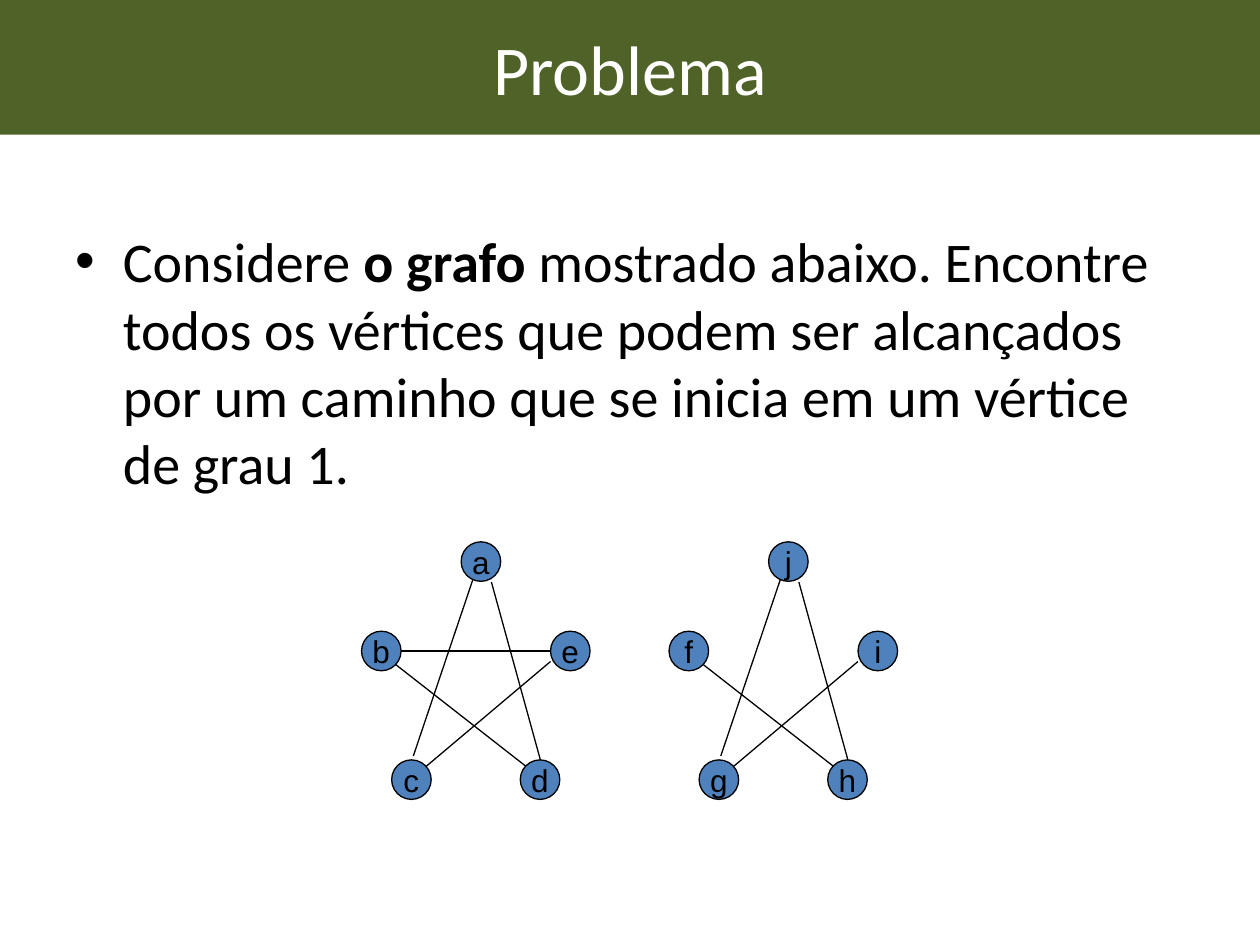
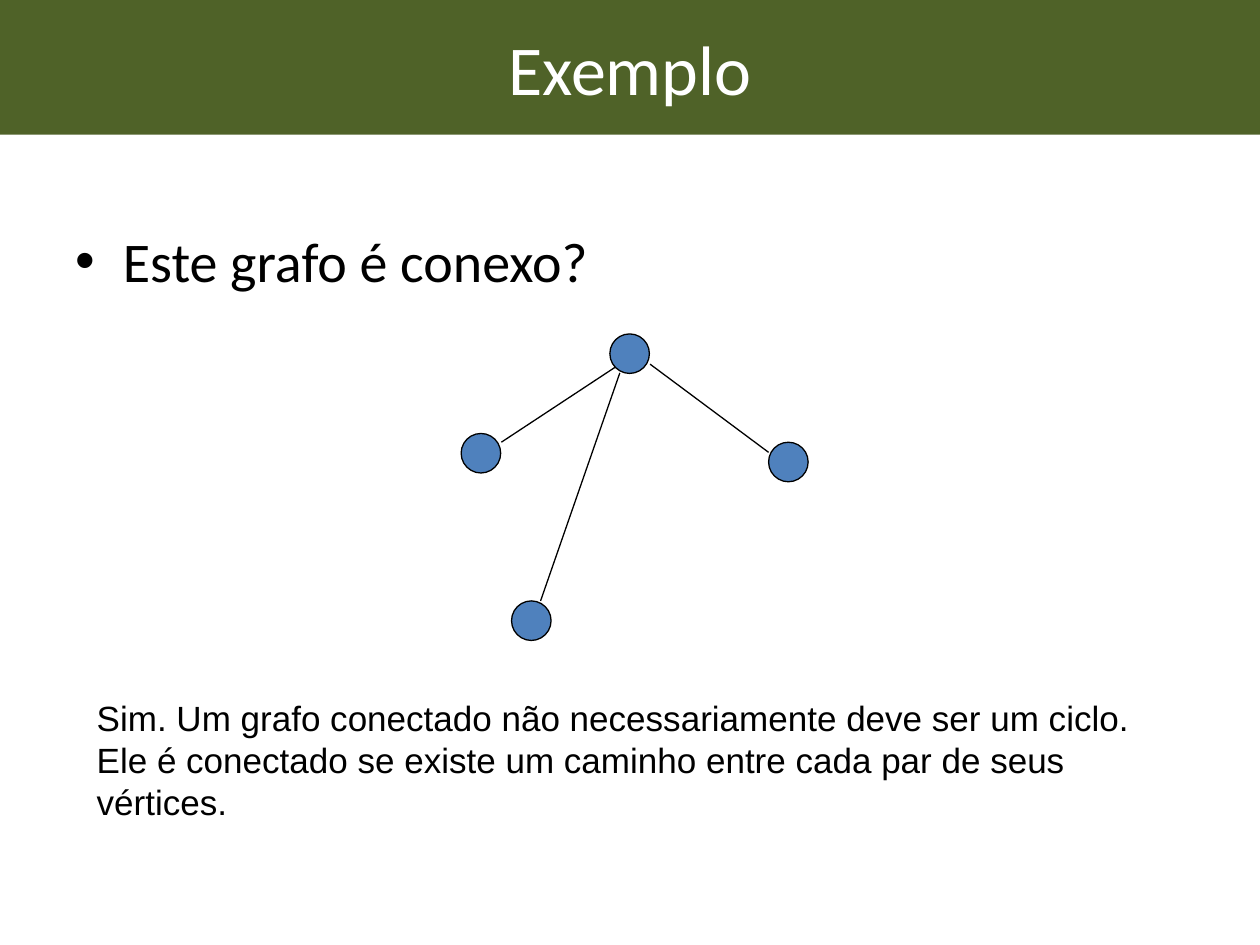
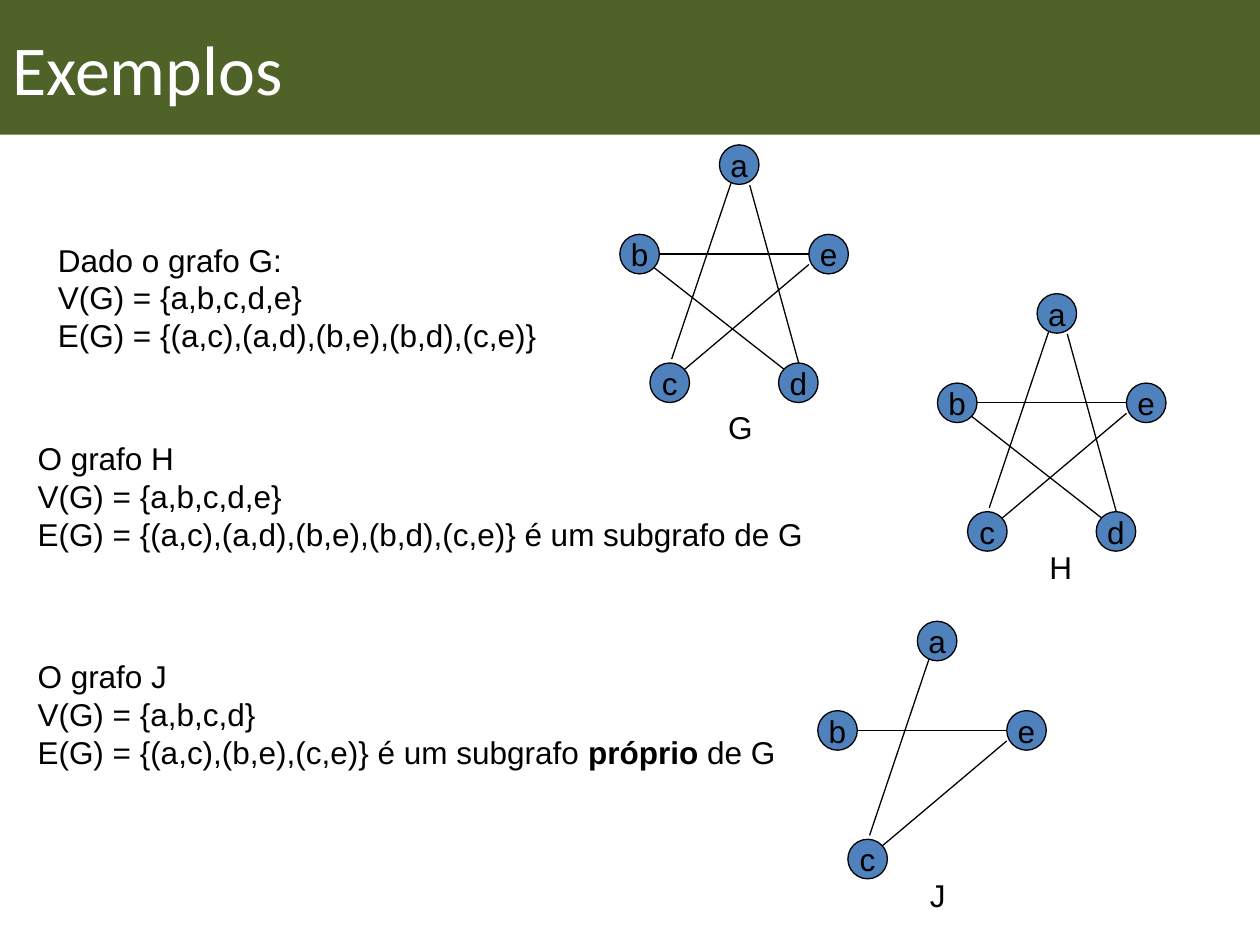
from lxml.etree import SubElement
from pptx import Presentation
from pptx.dml.color import RGBColor
from pptx.enum.shapes import MSO_CONNECTOR, MSO_SHAPE
from pptx.enum.text import MSO_ANCHOR, MSO_AUTO_SIZE, PP_ALIGN
from pptx.oxml.ns import qn
from pptx.util import Pt

# Shared style
BAND, NODE, BLACK, WHITE = "4F6228", "4F81BD", "000000", "FFFFFF"
HEADING_FONT, TEXT_FONT = "Calibri", "Arial"
TITLE_BOX = (0, 0, 720, 77)
BODY_BOX = (36, 126, 648, 356.4)
DIAMETER = 22.6
TITLE_AND_BODY, TITLE_ONLY = 1, 5

# Graph geometry, relative to the left and top of each graph
STAR_NODES = {"a": (56.9, 0), "b": (0, 51.1), "c": (17.2, 124.6),
              "d": (90.7, 124.6), "e": (108, 51.1)}
STAR_EDGES = {
    "ac": (63.6, 21.6, 29.6, 122.4),
    "ad": (74.2, 23, 102.2, 124.6),
    "ce": (34.6, 130.3, 108, 68.4),
    "be": (108, 62.4, 22.8, 62.4),
    "bd": (17.3, 68.4, 96.5, 130.3),
}
TREE_NODES = [(85, 0), (0, 56.9), (28.8, 152.6), (175.7, 61.9)]
TREE_EDGES = [(90.7, 17.3, 23, 61.9), (90.7, 22.3, 45.4, 152.6),
              (108, 17.3, 175.7, 67.7)]

# Content: ** marks bold text; a star lists its edges and, by corner, its labels
FULL_STAR = ("ac", "ad", "ce", "be", "bd")
SLIDES = [
    {
        "title": "Problema",
        "body": "Considere **o grafo** mostrado abaixo. Encontre todos os vértices que "
                "podem ser alcançados por um caminho que se inicia em um vértice de grau 1.",
        "stars": [
            (206.6, 309.6, FULL_STAR, dict(zip("abcde", "abcde"))),
            (382.3, 309.6, ("ac", "ad", "ce", "bd"), dict(zip("abcde", "jfghi"))),
        ],
    },
    {
        "title": "Exemplo",
        "body": "Este grafo é conexo?",
        "tree": (263.5, 190.8),
        "texts": [
            ((48.2, 394.6, 612, 79.2), 20, True,
             ["Sim. Um grafo conectado não necessariamente deve ser um ciclo. Ele é "
              "conectado se existe um caminho entre cada par de seus vértices."]),
        ],
    },
    {
        "title": "Exemplos",
        "title_align": PP_ALIGN.LEFT,
        "stars": [
            (354.2, 82.8, FULL_STAR, dict(zip("abcde", "abcde"))),
            (535.7, 167.8, FULL_STAR, dict(zip("abcde", "abcde"))),
            (467.3, 355, ("ac", "ce", "be"), dict(zip("abce", "abce"))),
        ],
        "texts": [
            ((26, 134, 288, 72), 18, False,
             ["Dado o grafo G:", "V(G) = {a,b,c,d,e}",
              "E(G) = {(a,c),(a,d),(b,e),(b,d),(c,e)}"]),
            ((14.4, 247.5, 453.6, 72), 18, True,
             ["O grafo H", "V(G) = {a,b,c,d,e}",
              "E(G) = {(a,c),(a,d),(b,e),(b,d),(c,e)} é um subgrafo de G"]),
            ((14.4, 372, 453.6, 72), 18, True,
             ["O grafo J", "V(G) = {a,b,c,d}",
              "E(G) = {(a,c),(b,e),(c,e)} é um subgrafo **próprio** de G"]),
            ((409, 229.7, 28, 28.8), 18, False, ["G"]),
            ((592.6, 309.6, 27.4, 28.8), 18, False, ["H"]),
            ((524.2, 496.8, 23, 28.8), 18, False, ["J"]),
        ],
    },
]


def color(hex_string):
    return RGBColor.from_string(hex_string)


def place(shape, box):
    shape.left, shape.top, shape.width, shape.height = map(Pt, box)


def write(text_frame, lines, font_name, size, font_color=BLACK, align=PP_ALIGN.LEFT):
    """Write one paragraph per line, with ** switching bold on and off."""
    for index, line in enumerate(lines):
        paragraph = text_frame.add_paragraph() if index else text_frame.paragraphs[0]
        paragraph.alignment = align
        paragraph.space_before = Pt(0)
        for part, text in enumerate(line.split("**")):
            run = paragraph.add_run()
            run.text = text
            run.font.name = font_name
            run.font.size = Pt(size)
            run.font.bold = part % 2 == 1
            run.font.color.rgb = color(font_color)


def add_title(slide, text, align):
    title = slide.shapes.title
    place(title, TITLE_BOX)
    title.fill.solid()
    title.fill.fore_color.rgb = color(BAND)
    title.text_frame.vertical_anchor = MSO_ANCHOR.MIDDLE
    write(title.text_frame, [text], HEADING_FONT, 40, WHITE, align)


def add_body(slide, text):
    body = slide.placeholders[1]
    place(body, BODY_BOX)
    body.text_frame.auto_size = MSO_AUTO_SIZE.NONE
    write(body.text_frame, [text], HEADING_FONT, 32)


def add_text(slide, box, size, wrap, lines):
    text_box = slide.shapes.add_textbox(*map(Pt, box))
    text_box.text_frame.word_wrap = wrap
    write(text_box.text_frame, lines, TEXT_FONT, size)


def add_edge(slide, left, top, edge):
    x1, y1, x2, y2 = edge
    connector = slide.shapes.add_connector(
        MSO_CONNECTOR.STRAIGHT, Pt(left + x1), Pt(top + y1), Pt(left + x2), Pt(top + y2))
    connector.line.color.rgb = color(BLACK)
    connector.line.width = Pt(0.75)
    SubElement(connector._element.spPr, qn("a:effectLst"))


def add_node(slide, left, top, label=None):
    node = slide.shapes.add_shape(
        MSO_SHAPE.OVAL, Pt(left), Pt(top), Pt(DIAMETER), Pt(DIAMETER))
    node.shadow.inherit = False
    node.fill.solid()
    node.fill.fore_color.rgb = color(NODE)
    node.line.color.rgb = color(BLACK)
    node.line.width = Pt(0.75)
    if label:
        node.text_frame.word_wrap = False
        node.text_frame.vertical_anchor = MSO_ANCHOR.MIDDLE
        write(node.text_frame, [label], TEXT_FONT, 18, align=PP_ALIGN.CENTER)


def add_star(slide, left, top, edges, labels):
    for name in edges:
        add_edge(slide, left, top, STAR_EDGES[name])
    for corner, label in labels.items():
        x, y = STAR_NODES[corner]
        add_node(slide, left + x, top + y, label)


def add_tree(slide, left, top):
    for edge in TREE_EDGES:
        add_edge(slide, left, top, edge)
    for x, y in TREE_NODES:
        add_node(slide, left + x, top + y)


def main():
    presentation = Presentation()
    presentation.slide_width, presentation.slide_height = Pt(720), Pt(540)
    for content in SLIDES:
        layout = TITLE_AND_BODY if "body" in content else TITLE_ONLY
        slide = presentation.slides.add_slide(presentation.slide_layouts[layout])
        add_title(slide, content["title"], content.get("title_align", PP_ALIGN.CENTER))
        if "body" in content:
            add_body(slide, content["body"])
        for star in content.get("stars", []):
            add_star(slide, *star)
        if "tree" in content:
            add_tree(slide, *content["tree"])
        for text in content.get("texts", []):
            add_text(slide, *text)
    presentation.save("out.pptx")


if __name__ == "__main__":
    main()
